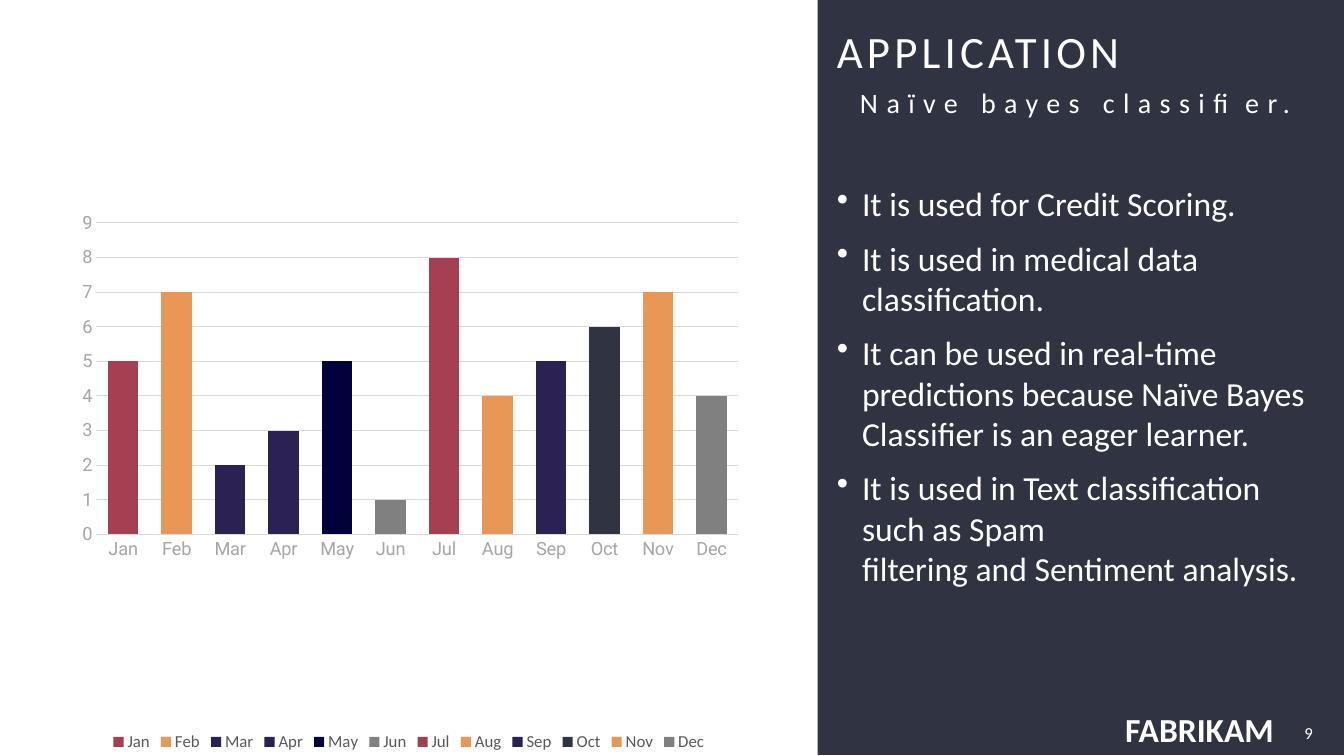
from dataclasses import dataclass

from lxml import etree
from pptx import Presentation
from pptx.chart.data import CategoryChartData
from pptx.dml.color import RGBColor
from pptx.enum.chart import XL_CHART_TYPE as ChartType, XL_LEGEND_POSITION as LegendPosition
from pptx.enum.chart import XL_TICK_MARK as TickMark
from pptx.enum.shapes import MSO_SHAPE as Shape
from pptx.enum.text import MSO_ANCHOR as Anchor, PP_ALIGN as Align
from pptx.oxml import parse_xml
from pptx.oxml.ns import nsdecls, qn
from pptx.util import Inches, Pt


@dataclass(frozen=True)
class Theme:
    body_font: str = "Calibri"
    chart_font: str = "Roboto"
    white: str = "FFFFFF"
    slate: str = "2F3342"
    red: str = "A53F52"
    orange: str = "E99757"
    purple: str = "2C2153"
    navy: str = "01023B"
    gray: str = "808080"
    axis_text: str = "A6A6A6"
    grid: str = "D9D9D9"
    legend_text: str = "595959"
    title: int = 32
    body: int = 24
    subtitle: int = 20
    axis: int = 13
    small: int = 12


THEME = Theme()
WIDTH, HEIGHT = 13.33, 7.5
PANEL_LEFT = 8.11
TEXT_INDENT = 0.19

MONTHS = [
    ("Jan", 5, THEME.red), ("Feb", 7, THEME.orange), ("Mar", 2, THEME.purple),
    ("Apr", 3, THEME.purple), ("May", 5, THEME.navy), ("Jun", 1, THEME.gray),
    ("Jul", 8, THEME.red), ("Aug", 4, THEME.orange), ("Sep", 5, THEME.purple),
    ("Oct", 6, THEME.slate), ("Nov", 7, THEME.orange), ("Dec", 4, THEME.gray),
]
APPLICATIONS = [
    "It is used for Credit Scoring.",
    "It is used in medical data classification.",
    "It can be used in real-time predictions because Naïve Bayes Classifier is an eager learner.",
    "It is used in Text classification such as Spam\vfiltering and Sentiment analysis.",
]


def style_font(font, size, color, name=THEME.body_font):
    font.size = Pt(size)
    font.name = name
    font.color.rgb = RGBColor.from_string(color)


def add_text(slide, box, lines, size, anchor=Anchor.MIDDLE, margin=0.0, wrap=True):
    """Place white paragraphs in box and return them."""
    frame = slide.shapes.add_textbox(*map(Inches, box)).text_frame
    frame.word_wrap = wrap
    frame.vertical_anchor = anchor
    frame.margin_left = frame.margin_right = Inches(margin)
    for index, line in enumerate(lines):
        paragraph = frame.paragraphs[0] if index == 0 else frame.add_paragraph()
        paragraph.text = line
        style_font(paragraph.font, size, THEME.white)
    return frame.paragraphs


def track(paragraph, points):
    """Widen the letter spacing."""
    for run in paragraph.runs:
        run.font._element.set("spc", str(points * 100))


def add_bullet(paragraph):
    paragraph.space_before = Pt(10)
    properties = paragraph._p.get_or_add_pPr()
    properties.set("marL", str(Inches(0.25)))
    properties.set("indent", str(Inches(-0.25)))
    bullet = etree.Element(qn("a:buChar"), char="•")
    properties.find(qn("a:defRPr")).addprevious(bullet)


def set_plot_area(chart, x, y, w, h):
    """Fix the inner plot area, in shares of the chart's size."""
    shares = "".join(f'<c:{tag} val="{share}"/>' for tag, share in zip("xywh", (x, y, w, h)))
    layout = parse_xml(
        f'<c:layout {nsdecls("c")}><c:manualLayout><c:layoutTarget val="inner"/>'
        f'<c:xMode val="edge"/><c:yMode val="edge"/>{shares}</c:manualLayout></c:layout>')
    plot_area = chart._chartSpace.chart.plotArea
    for automatic in plot_area.findall(qn("c:layout")):
        plot_area.remove(automatic)
    plot_area.insert(0, layout)


def add_month_chart(slide, box):
    names, values, colors = zip(*MONTHS)
    chart_data = CategoryChartData()
    chart_data.categories = names
    chart_data.add_series("Series 1", values)
    chart = slide.shapes.add_chart(
        ChartType.COLUMN_CLUSTERED, *map(Inches, box), chart_data).chart
    chart.has_title = False
    style_font(chart.font, 15, "000000", THEME.chart_font)

    chart.has_legend = True
    chart.legend.position = LegendPosition.BOTTOM
    chart.legend.include_in_layout = False
    style_font(chart.legend.font, THEME.small, THEME.legend_text)

    for axis in (chart.category_axis, chart.value_axis):
        axis.major_tick_mark = axis.minor_tick_mark = TickMark.NONE
        style_font(axis.tick_labels.font, THEME.axis, THEME.axis_text, THEME.chart_font)
    chart.value_axis.format.line.fill.background()
    chart.value_axis.has_major_gridlines = True
    for part in (chart.category_axis, chart.value_axis.major_gridlines):
        part.format.line.color.rgb = RGBColor.from_string(THEME.grid)
        part.format.line.width = Pt(0.75)

    plot = chart.plots[0]
    plot.vary_by_categories = True
    plot.gap_width = 75
    plot.overlap = -25
    for index, color in enumerate(colors):
        fill = plot.series[0].points[index].format.fill
        fill.solid()
        fill.fore_color.rgb = RGBColor.from_string(color)
    set_plot_area(chart, 0.118, 0.295, 0.785, 0.412)


def add_application_panel(slide, box):
    left, top, width, height = box
    panel = slide.shapes.add_shape(Shape.RECTANGLE, *map(Inches, box))
    panel.shadow.inherit = False
    panel.fill.solid()
    panel.fill.fore_color.rgb = RGBColor.from_string(THEME.slate)
    panel.line.fill.background()

    text_left = left + TEXT_INDENT
    title, = add_text(slide, (text_left, top + 0.19, 4.39, 0.63), ["APPLICATION"], THEME.title)
    track(title, 3)
    subtitle, = add_text(
        slide, (left + 0.42, top + 0.71, 4.37, 0.45), ["Naïve bayes classifier."], THEME.subtitle)
    subtitle.line_spacing = 1.5
    subtitle.space_before = Pt(10)
    track(subtitle, 6)

    bullets = add_text(
        slide, (text_left, top + 1.77, 4.81, 5.07), APPLICATIONS, THEME.body, Anchor.TOP)
    for paragraph in bullets:
        add_bullet(paragraph)

    right, bottom = left + width, top + height
    brand, = add_text(
        slide, (right - 2.19, bottom - 0.48, 1.53, 0.45), ["FABRIKAM"], THEME.body,
        margin=0.02, wrap=False)
    brand.font.bold = True
    number, = add_text(
        slide, (right - 0.7, bottom - 0.42, 0.49, 0.4), ["9"], THEME.small, margin=0.1)
    number.alignment = Align.RIGHT


def main():
    deck = Presentation()
    deck.slide_width, deck.slide_height = Inches(WIDTH), Inches(HEIGHT)
    slide = deck.slides.add_slide(deck.slide_layouts[6])
    add_month_chart(slide, (0, 0, PANEL_LEFT, HEIGHT))
    add_application_panel(slide, (PANEL_LEFT, 0, WIDTH - PANEL_LEFT, HEIGHT - 0.01))
    deck.save("out.pptx")


if __name__ == "__main__":
    main()
